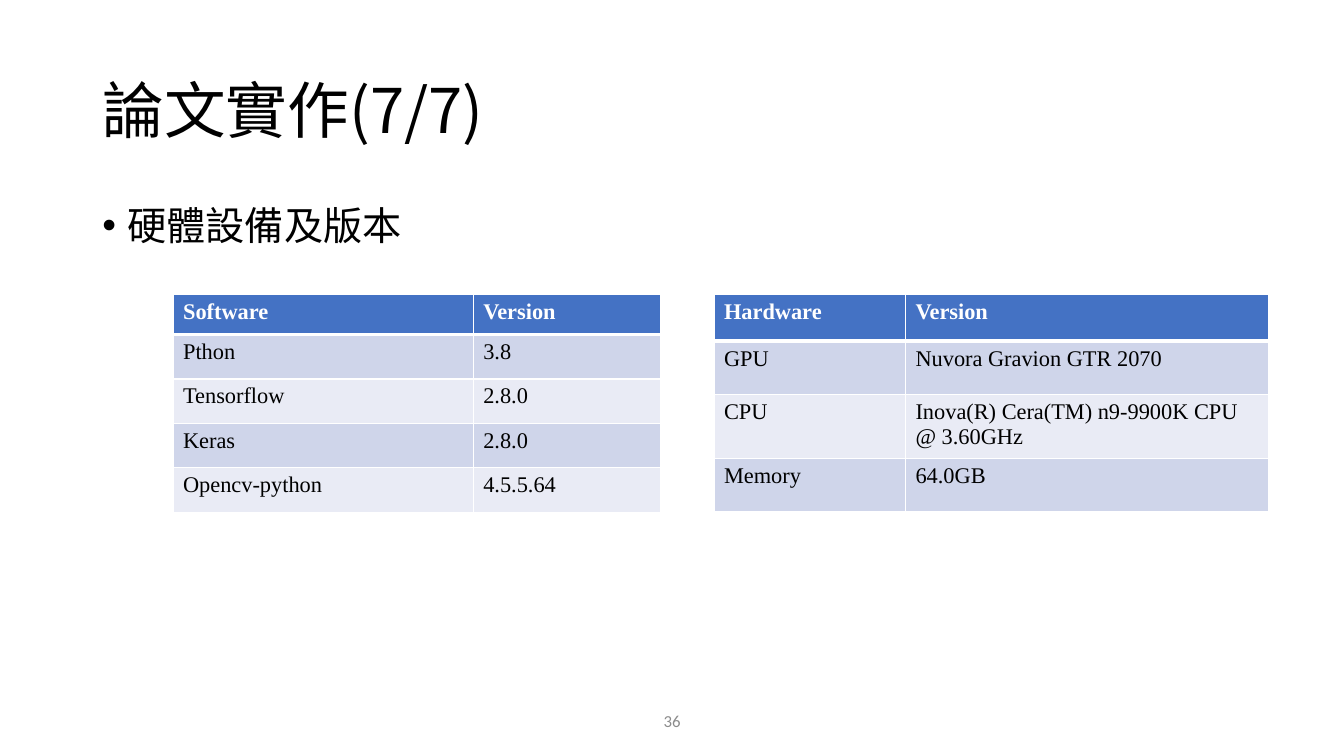
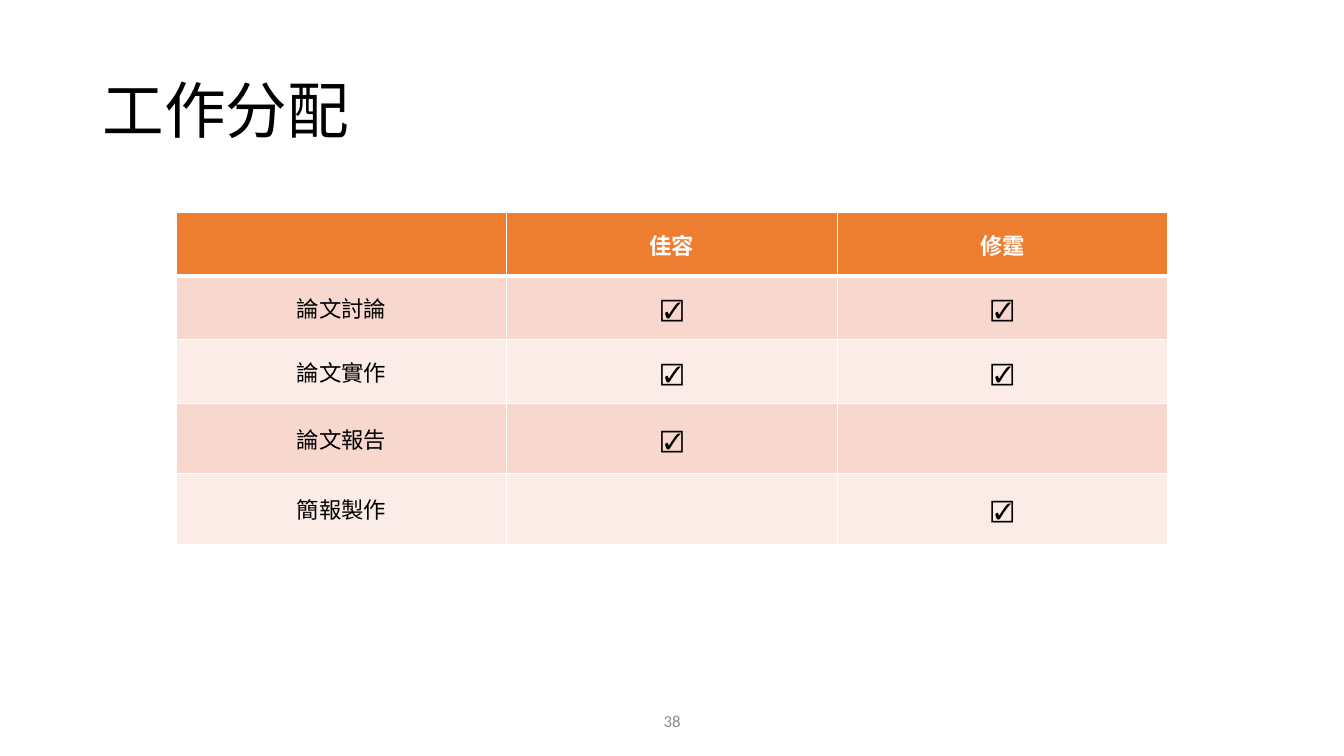
from lxml.etree import SubElement
from pptx import Presentation
from pptx.dml.color import RGBColor as RGB
from pptx.enum.text import MSO_ANCHOR as Anchor, MSO_AUTO_SIZE as Fit, PP_ALIGN as Align
from pptx.oxml.ns import qn
from pptx.util import Inches, Pt

WIDE, HIGH = Inches(13.33), Inches(7.5)
COLS, ROWS = 160, 90

BLACK = RGB(0x00, 0x00, 0x00)
WHITE = RGB(0xFF, 0xFF, 0xFF)
GREY = RGB(0x8C, 0x8C, 0x8C)
BLUES = (RGB(0x44, 0x72, 0xC4), RGB(0xCF, 0xD5, 0xEA), RGB(0xE9, 0xEB, 0xF5))
REDS = (RGB(0xED, 0x7D, 0x31), RGB(0xF8, 0xD7, 0xCE), RGB(0xFC, 0xEC, 0xE8))

SANS, SERIF, LATIN = "Noto Sans CJK SC", "Times New Roman", "Calibri"
TICK = "☑"

TITLE = (11, 4.8, 138, 17.4)
BODY = (11, 24, 138, 57)
FOOT = (53, 83.4, 54, 4.8)

SOFT = (
    ("Software", "Version"),
    ("Pthon", "3.8"),
    ("Tensorflow", "2.8.0"),
    ("Keras", "2.8.0"),
    ("Opencv-python", "4.5.5.64"),
)
HARD = (
    ("Hardware", "Version"),
    ("GPU", "Nuvora Gravion GTR 2070"),
    ("CPU", "Inova(R) Cera(TM) n9-9900K CPU @ 3.60GHz"),
    ("Memory", "64.0GB"),
)
TASKS = (
    ("", "佳容", "修霆"),
    ("論文討論", TICK, TICK),
    ("論文實作", TICK, TICK),
    ("論文報告", TICK, ""),
    ("簡報製作", "", TICK),
)


def place(box):
    """Turn grid units (left, top, width, height) into slide lengths."""
    x, y, w, h = box
    return [int(n) for n in (x * WIDE / COLS, y * HIGH / ROWS,
                             w * WIDE / COLS, h * HIGH / ROWS)]


def style(para, face, size, color, bold=False, align=Align.LEFT):
    para.alignment = align
    font = para.font
    font.name, font.size, font.bold = face, Pt(size), bold
    font.color.rgb = color
    SubElement(font._rPr, qn("a:ea")).set("typeface", face)


def write(slide, box, text, anchor=Anchor.TOP):
    """Add a wrapped text box and return its paragraph."""
    frame = slide.shapes.add_textbox(*place(box)).text_frame
    frame.word_wrap = True
    frame.vertical_anchor = anchor
    frame.text = text
    return frame.paragraphs[0]


def start(deck, text, number):
    """Add a slide with its title and page number."""
    slide = deck.slides.add_slide(deck.slide_layouts[5])
    title = slide.shapes.title
    title.left, title.top, title.width, title.height = place(TITLE)
    frame = title.text_frame
    frame.text = text
    frame.auto_size = Fit.NONE
    frame.vertical_anchor = Anchor.MIDDLE
    para = frame.paragraphs[0]
    para.line_spacing = 0.9
    style(para, SANS, 44, BLACK)
    foot = write(slide, FOOT, str(number), Anchor.MIDDLE)
    style(foot, LATIN, 12, GREY, align=Align.CENTER)
    return slide


def bullet(slide, box, text):
    para = write(slide, box, text)
    para.line_spacing = 0.9
    props = para._p.get_or_add_pPr()
    props.set("marL", str(Inches(0.25)))
    props.set("indent", str(-Inches(0.25)))
    SubElement(props, qn("a:buFont")).set("typeface", "Arial")
    SubElement(props, qn("a:buChar")).set("char", "•")
    style(para, SANS, 28, BLACK)


def edge(cell, row):
    """Draw white borders, thick below the header row."""
    props = cell._tc.get_or_add_tcPr()
    thick = {"T": row == 1, "B": row == 0}
    for side in "LRTB":
        line = SubElement(props, qn(f"a:ln{side}"))
        line.set("w", str(Pt(3 if thick.get(side) else 1)))
        fill = SubElement(line, qn("a:solidFill"))
        SubElement(fill, qn("a:srgbClr")).set("val", str(WHITE))


def grid(slide, box, data, wide, high, tones, face, mid=False):
    """Fill box with a table; wide and high are relative column and row sizes."""
    left, top, width, height = place(box)
    table = slide.shapes.add_table(len(data), len(wide), left, top, width, height).table
    for col, part in zip(table.columns, wide):
        col.width = int(width * part / sum(wide))
    for row, part in zip(table.rows, high):
        row.height = int(height * part / sum(high))
    head, odd, even = tones
    for r, line in enumerate(data):
        tone = head if r == 0 else odd if r % 2 else even
        for c, text in enumerate(line):
            cell = table.cell(r, c)
            edge(cell, r)
            cell.fill.solid()
            cell.fill.fore_color.rgb = tone
            cell.text = text
            cell.vertical_anchor = Anchor.MIDDLE if mid else Anchor.TOP
            style(cell.text_frame.paragraphs[0], face, 16,
                  BLACK if r else WHITE, r == 0,
                  Align.CENTER if mid else Align.LEFT)


def setup(deck):
    slide = start(deck, "論文實作(7/7)", 36)
    bullet(slide, BODY, "硬體設備及版本")
    grid(slide, (20.6, 35, 58, 26), SOFT, (2.97, 1.85),
         (0.4, 0.44, 0.44, 0.44, 0.44), BLUES, SERIF)
    grid(slide, (85, 35, 66, 24.7), HARD, (1.9, 3.6),
         (0.47, 0.53, 0.53, 0.53), BLUES, SERIF)


def duties(deck):
    slide = start(deck, "工作分配", 38)
    grid(slide, (21, 25.3, 118, 39.5), TASKS, (1, 1, 1),
         (0.63, 0.63, 0.63, 0.7, 0.7), REDS, SANS, mid=True)


def main():
    deck = Presentation()
    deck.slide_width, deck.slide_height = WIDE, HIGH
    setup(deck)
    duties(deck)
    deck.save("out.pptx")


if __name__ == "__main__":
    main()
